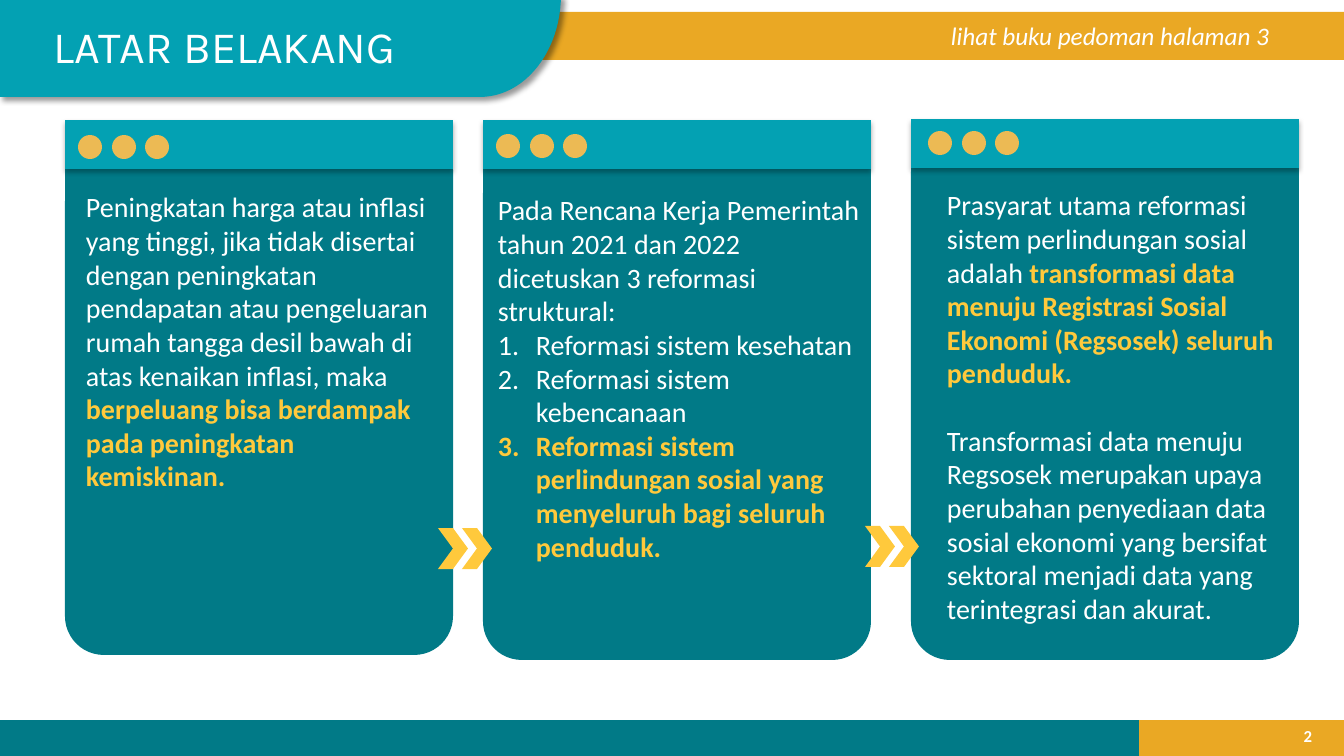
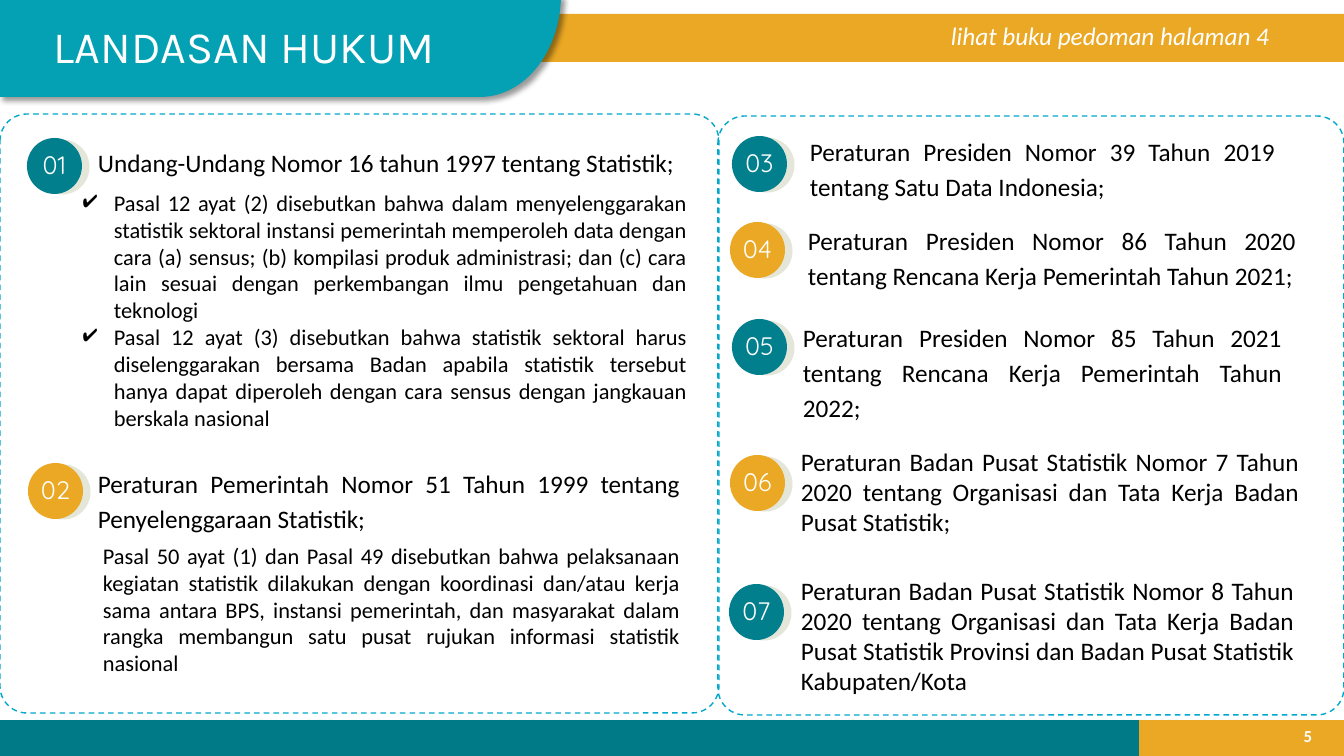
from lxml import etree
from pptx import Presentation
from pptx import util as u
from pptx.dml.color import RGBColor
from pptx.enum import dml, shapes, text
from pptx.oxml.ns import qn

# ---- Content: in a paragraph, the second string is highlighted ----
TITLES = {
    "background": ("LATAR BELAKANG", "lihat buku pedoman halaman 3", "2", 12),
    "law": ("LANDASAN HUKUM", "lihat buku pedoman halaman 4", "5", 14),
}

# Card: left, header top, body top, bottom, first dot, text box, paragraphs, text format
CARDS = [
    (65, 120, 131, 655, (78, 135), (76, 185, 373, 316), [
        ("Peningkatan harga atau inflasi yang tinggi, jika tidak disertai dengan "
         "peningkatan pendapatan atau pengeluaran rumah tangga desil bawah di atas "
         "kenaikan inflasi, maka ",
         "berpeluang bisa berdampak pada peningkatan kemiskinan.")], {}),
    (483, 120, 129, 660, (496, 134), (488, 188, 383, 383), [
        ("Pada Rencana Kerja Pemerintah tahun 2021 dan 2022 dicetuskan 3 reformasi "
         "struktural:",),
        ("Reformasi sistem kesehatan",),
        ("Reformasi sistem kebencanaan",),
        ("", "Reformasi sistem perlindungan sosial yang menyeluruh bagi seluruh "
             "penduduk.")],
     {"bullet": "number", "bullets_from": 1, "indent": 38}),
    (911, 119, 128, 660, (928, 131), (937, 183, 351, 452), [
        ("Prasyarat utama reformasi sistem perlindungan sosial adalah ",
         "transformasi data menuju Registrasi Sosial Ekonomi (Regsosek) seluruh "
         "penduduk."),
        ("Transformasi data menuju Regsosek merupakan upaya perubahan penyediaan data "
         "sosial ekonomi yang bersifat sektoral menjadi data yang terintegrasi dan "
         "akurat.",)], {"gap": 24}),
]
CARD_W, HEADER_H = 388, 49
DOT_OFFSETS, DOT = (0, 34, 67), 24
ARROWS = [(438, 528), (865, 526)]
ARROW_STEP = 24

PANELS = [(0, 114, 719, 599), (718, 116, 626, 599)]

# Regulation: badge left and top, text box, line spacing, text
REGULATIONS = [
    (27, 138, (88, 142, 612, 40), 1,
     "Undang-Undang Nomor 16 tahun 1997 tentang Statistik;"),
    (28, 463, (88, 459, 602, 79), 1.15,
     "Peraturan Pemerintah Nomor 51 Tahun 1999 tentang Penyelenggaraan Statistik;"),
    (732, 136, (800, 127, 485, 79), 1.15,
     "Peraturan Presiden Nomor 39 Tahun 2019 tentang Satu Data Indonesia;"),
    (730, 222, (798, 216, 508, 79), 1.15,
     "Peraturan Presiden Nomor 86 Tahun 2020 tentang Rencana Kerja Pemerintah Tahun "
     "2021;"),
    (732, 319, (793, 313, 499, 114), 1.15,
     "Peraturan Presiden Nomor 85 Tahun 2021 tentang Rencana Kerja Pemerintah Tahun "
     "2022;"),
    (730, 455, (791, 441, 518, 102), 1,
     "Peraturan Badan Pusat Statistik Nomor 7 Tahun 2020 tentang Organisasi dan Tata "
     "Kerja Badan Pusat Statistik;"),
    (729, 584, (791, 570, 513, 132), 1,
     "Peraturan Badan Pusat Statistik Nomor 8 Tahun 2020 tentang Organisasi dan Tata "
     "Kerja Badan Pusat Statistik Provinsi dan Badan Pusat Statistik Kabupaten/Kota"),
]

# Articles: text box, paragraphs, text format
ARTICLES = [
    ((73, 184, 624, 254), [
        ("Pasal 12 ayat (2) disebutkan bahwa dalam menyelenggarakan statistik sektoral "
         "instansi pemerintah memperoleh data dengan cara (a) sensus; (b) kompilasi "
         "produk administrasi; dan (c) cara lain sesuai dengan perkembangan ilmu "
         "pengetahuan dan teknologi",),
        ("Pasal 12 ayat (3) disebutkan bahwa statistik sektoral harus diselenggarakan "
         "bersama Badan apabila statistik tersebut hanya dapat diperoleh dengan cara "
         "sensus dengan jangkauan berskala nasional",)],
     {"bullet": "✔", "indent": 31}),
    ((93, 537, 597, 146), [
        ("Pasal 50 ayat (1) dan Pasal 49 disebutkan bahwa pelaksanaan kegiatan statistik "
         "dilakukan dengan koordinasi dan/atau kerja sama antara BPS, instansi "
         "pemerintah, dan masyarakat dalam rangka membangun satu pusat rujukan "
         "informasi statistik nasional",)], {}),
]

# ---- Shared style ----
COLORS = {"teal": "017A87", "cyan": "03A1B3", "amber": "EAA824", "dot": "ECBA54",
          "yellow": "FFC93C", "badge": "017F8D", "shade": "E4E6D9", "dash": "00A8CC",
          "white": "FFFFFF", "black": "000000"}
KIND = shapes.MSO_SHAPE
ALIGN = text.PP_ALIGN
PX = 914400 / 100.8


def px(n):
    return round(n * PX)


def paint(shape, fill=None, line=None, width=1, shadow=None):
    """Set fill, line and shadow; shadow is (opacity %, blur pt, distance pt, angle)."""
    shape.shadow.inherit = False
    if fill:
        shape.fill.solid()
        shape.fill.fore_color.rgb = RGBColor.from_string(COLORS[fill])
    else:
        shape.fill.background()
    if line:
        shape.line.color.rgb = RGBColor.from_string(COLORS[line])
        shape.line.width = u.Pt(width)
    else:
        shape.line.fill.background()
    if shadow:
        opacity, blur, distance, angle = shadow
        effects = shape._element.spPr.find(qn("a:effectLst"))
        outer = etree.SubElement(effects, qn("a:outerShdw"), blurRad=str(u.Pt(blur)),
                                 dist=str(u.Pt(distance)), dir=str(angle * 60000),
                                 algn="tl", rotWithShape="0")
        color = etree.SubElement(outer, qn("a:srgbClr"), val=COLORS["black"])
        etree.SubElement(color, qn("a:alpha"), val=str(opacity * 1000))
    return shape


def draw(slide, kind, box, fill=None, round_by=None, **style):
    shape = slide.shapes.add_shape(kind, *map(px, box))
    if round_by is not None:
        shape.adjustments[0] = round_by
    return paint(shape, fill, **style)


def add_bullet(paragraph, bullet, color, indent):
    props = paragraph._p.get_or_add_pPr()
    props.set("marL", str(px(indent)))
    props.set("indent", str(-px(indent)))
    bullet_color = etree.SubElement(props, qn("a:buClr"))
    etree.SubElement(bullet_color, qn("a:srgbClr"), val=COLORS[color])
    if bullet == "number":
        etree.SubElement(props, qn("a:buAutoNum"), type="arabicPeriod")
    else:
        etree.SubElement(props, qn("a:buChar"), char=bullet)


def write(slide, box, paragraphs, size=18, font="Calibri", color="black", bold=False,
          italic=False, align=ALIGN.LEFT, spacing=1, gap=0, bullet=None, bullets_from=0,
          indent=0, middle=False, holder=None):
    """Write paragraphs into a new text box, or into the holder shape without insets."""
    frame = (holder or slide.shapes.add_textbox(*map(px, box))).text_frame
    frame.word_wrap = True
    if middle:
        frame.vertical_anchor = text.MSO_ANCHOR.MIDDLE
    if holder:
        frame.margin_left = frame.margin_right = 0
        frame.margin_top = frame.margin_bottom = 0
    if isinstance(paragraphs, str):
        paragraphs = [(paragraphs,)]
    for i, parts in enumerate(paragraphs):
        paragraph = frame.add_paragraph() if i else frame.paragraphs[0]
        paragraph.alignment = align
        paragraph.line_spacing = spacing
        if i and gap:
            paragraph.space_before = u.Pt(gap)
        if bullet and i >= bullets_from:
            add_bullet(paragraph, bullet, color if parts[0] else "yellow", indent)
        for highlighted, words in enumerate(parts):
            if not words:
                continue
            run = paragraph.add_run()
            run.text = words
            run.font.name, run.font.size = font, u.Pt(size)
            run.font.bold, run.font.italic = bold or bool(highlighted), italic
            run.font.color.rgb = RGBColor.from_string(
                COLORS["yellow" if highlighted else color])


def title_tab(slide):
    """Tab with its lower right corner rounded along a cubic curve."""
    curve = [(561, -5), (561, 51), (525, 97), (480, 97)]
    steps = 24
    outline = []
    for t in (i / steps for i in range(steps + 1)):
        weights = ((1 - t) ** 3, 3 * t * (1 - t) ** 2, 3 * t * t * (1 - t), t ** 3)
        outline.append(tuple(px(sum(w * point[axis] for w, point in zip(weights, curve)))
                             for axis in (0, 1)))
    builder = slide.shapes.build_freeform(px(-1), px(-5), scale=1.0)
    builder.add_line_segments(outline + [(px(-1), px(97))], close=True)
    paint(builder.convert_to_shape(), "cyan", shadow=(40, 4, 3, 45))


def new_slide(deck, title, reference, number, band_top):
    slide = deck.slides.add_slide(deck.slide_layouts[6])
    draw(slide, KIND.RECTANGLE, (1139, 720, 205, 36), "amber")
    draw(slide, KIND.RECTANGLE, (-1, 720, 1140, 36), "teal")
    draw(slide, KIND.RECTANGLE, (509, band_top, 835, 48), "amber")
    title_tab(slide)
    write(slide, (44, 14, 463, 65), title, size=32, font="Karla", color="white")
    write(slide, (941, 15, 342, 40), reference, color="white", italic=True)
    write(slide, (1275, 716, 47, 40), number, size=12, color="white", bold=True,
          align=ALIGN.RIGHT, middle=True)
    return slide


deck = Presentation()
deck.slide_width, deck.slide_height = px(1344), px(756)

# ---- Background: three cards joined by arrows ----
slide = new_slide(deck, *TITLES["background"])
for left, top, body_top, bottom, (dot_x, dot_y), box, paragraphs, style in CARDS:
    draw(slide, KIND.ROUNDED_RECTANGLE, (left, body_top, CARD_W, bottom - body_top),
         "teal", round_by=0.1)
    draw(slide, KIND.RECTANGLE, (left, top, CARD_W, HEADER_H), "cyan",
         shadow=(31, 3.5, 2.2, 90))
    for offset in DOT_OFFSETS:
        draw(slide, KIND.OVAL, (dot_x + offset, dot_y, DOT, DOT), "dot")
    write(slide, box, paragraphs, size=20, color="white", **style)
for left, top in ARROWS:
    for step in range(2):
        draw(slide, KIND.CHEVRON, (left + step * ARROW_STEP, top, 30, 41), "yellow",
             round_by=0.5)

# ---- Legal basis: numbered regulations in two panels ----
slide = new_slide(deck, *TITLES["law"])
for panel in PANELS:
    frame = draw(slide, KIND.ROUNDED_RECTANGLE, panel, round_by=0.045, line="dash")
    frame.line.dash_style = dml.MSO_LINE.DASH
for number, (left, top, box, spacing, regulation) in enumerate(REGULATIONS, 1):
    draw(slide, KIND.OVAL, (left + 9, top + 3, 52, 52), "shade", line="shade", width=2.25)
    badge = draw(slide, KIND.OVAL, (left, top, 55, 56),
                 "badge" if number % 2 else "amber")
    write(slide, None, f"{number:02}", font="Quicksand", color="white",
          align=ALIGN.CENTER, spacing=0.9, middle=True, holder=badge)
    write(slide, box, regulation, align=ALIGN.JUSTIFY, spacing=spacing)
for box, paragraphs, style in ARTICLES:
    write(slide, box, paragraphs, size=16, align=ALIGN.JUSTIFY, **style)

deck.save("out.pptx")
